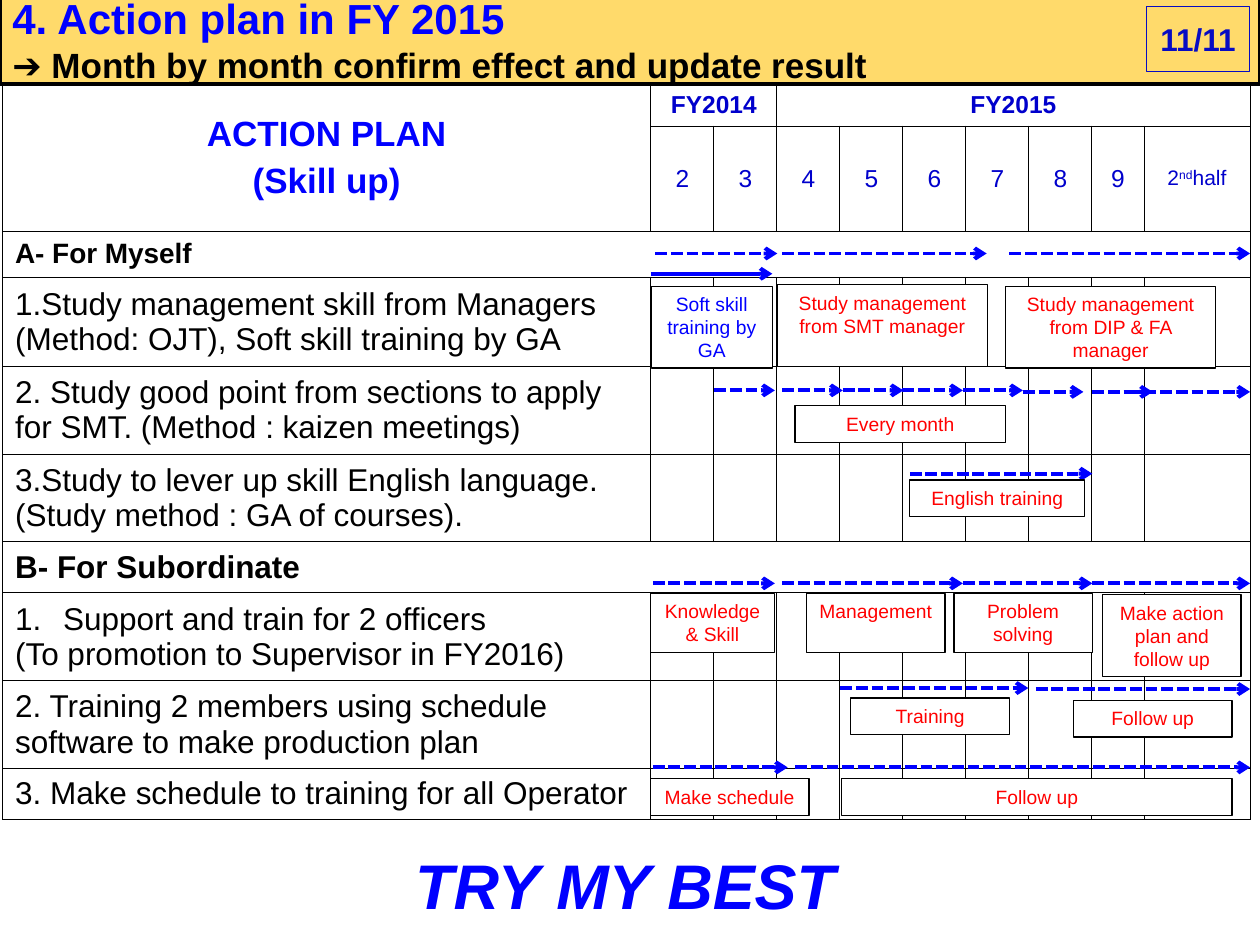
from collections import namedtuple
from dataclasses import dataclass

from lxml import etree
from pptx import Presentation
from pptx import util as u
from pptx.dml.color import RGBColor
from pptx.enum import dml, shapes, text
from pptx.oxml.ns import qn

Box = namedtuple("Box", "left top width height")


@dataclass(frozen=True)
class Theme:
    font: str = "Arial"
    blue: str = "0000FF"
    month_blue: str = "0000CC"
    page_blue: str = "070BC3"
    red: str = "FF0000"
    black: str = "000000"
    white: str = "FFFFFF"
    band: str = "FFC000"
    slogan: int = 36
    title: int = 24
    heading: int = 20
    body: int = 18
    group: int = 16
    month: int = 14
    half: int = 12
    note: int = 11


THEME = Theme()
CENTER = text.PP_ALIGN.CENTER
MIDDLE = text.MSO_ANCHOR.MIDDLE

COLUMNS = [13.07] + [1.27] * 7 + [1.05, 2.14]
ROWS = [0.84, 2.12, 0.93, 1.79, 1.77, 1.77, 1.03, 1.77, 1.77, 1.01]
TASKS = {
    3: "1.Study management skill from Managers (Method: OJT), Soft skill training by GA",
    4: "2. Study good point from sections to apply for SMT. (Method : kaizen meetings)",
    5: "3.Study to lever up skill English language. (Study method : GA of courses).",
    8: "2. Training 2 members using schedule software to make production plan",
    9: "3. Make schedule to training for all Operator",
}
PERIODS = [
    (3.41, [(0.09, 2.55), (2.65, 6.77), (7.23, 12.08)]),
    (6.17, [(1.28, 2.5), (2.65, 3.87), (3.87, 5.09), (5.07, 6.29), (6.29, 7.5)]),
    (6.2, [(7.5, 8.72), (8.9, 10.12), (9.64, 12.08)]),
    (7.85, [(5.22, 8.9)]),
    (10.06, [(0.04, 2.5), (2.65, 6.29), (6.29, 8.9), (8.9, 12.08)]),
    (12.17, [(3.82, 7.61)]),
    (12.19, [(7.76, 12.08)]),
    (13.77, [(0.04, 2.76), (2.91, 12.08)]),
]
ONE_LINE, TWO_LINES, THREE_LINES = 0.74, 1.19, 1.65
NOTES = [
    ("Study management from SMT manager", 2.55, 4.04, 4.24, THREE_LINES),
    ("Study management from DIP & FA manager", 7.15, 4.07, 4.24, THREE_LINES),
    ("Every month", 2.91, 6.48, 4.24, ONE_LINE),
    ("English training", 5.22, 7.98, 3.53, ONE_LINE),
    ("Knowledge & Skill", -0.01, 10.26, 2.51, TWO_LINES),
    ("Management", 3.14, 10.26, 2.79, TWO_LINES),
    ("Problem solving", 6.11, 10.26, 2.79, TWO_LINES),
    ("Make action plan and follow up", 9.11, 10.29, 2.79, THREE_LINES),
    ("Training", 4.03, 12.37, 3.2, ONE_LINE),
    ("Follow up", 8.52, 12.42, 3.2, ONE_LINE),
    ("Make schedule", -0.01, 14, 3.2, ONE_LINE),
    ("Follow up", 3.85, 14, 7.87, ONE_LINE),
]


def rgb(color):
    return RGBColor.from_string(color)


def cm(*lengths):
    return [u.Cm(length) for length in lengths]


def write(frame, lines, size=THEME.body, color=THEME.black, bold=False, italic=False,
          align=text.PP_ALIGN.LEFT, gap=0, hanging=0, numbered=False):
    for index, line in enumerate(lines):
        paragraph = frame.paragraphs[0] if index == 0 else frame.add_paragraph()
        paragraph.alignment = align
        if index and gap:
            paragraph.space_before = u.Pt(gap)
        if hanging:
            properties = paragraph._p.get_or_add_pPr()
            properties.set("marL", str(u.Cm(hanging)))
            properties.set("indent", str(-u.Cm(hanging)))
            if numbered and index == 0:
                etree.SubElement(properties, qn("a:buAutoNum"), type="arabicPeriod")
        for position, piece in enumerate(line.split("^")):
            run = paragraph.add_run()
            run.text = piece
            run.font.name = THEME.font
            run.font.size = u.Pt(size)
            run.font.bold = bold
            run.font.italic = italic
            run.font.color.rgb = rgb(color)
            if position % 2:
                run._r.get_or_add_rPr().set("baseline", "30000")


def add_panel(slide, box, fill=None, outline=THEME.black, weight=0.75):
    panel = slide.shapes.add_shape(shapes.MSO_SHAPE.RECTANGLE, *cm(*box))
    panel.shadow.inherit = False
    if fill:
        panel.fill.solid()
        panel.fill.fore_color.rgb = rgb(fill)
    else:
        panel.fill.background()
    panel.line.color.rgb = rgb(outline)
    panel.line.width = u.Pt(weight)
    panel.text_frame.word_wrap = True
    return panel


def add_arrow(slide, start, end, dashed=True):
    arrow = slide.shapes.add_connector(shapes.MSO_CONNECTOR.STRAIGHT, *cm(*start, *end))
    arrow.line.color.rgb = rgb(THEME.blue)
    arrow.line.width = u.Pt(2.25)
    if dashed:
        arrow.line.dash_style = dml.MSO_LINE.SQUARE_DOT
    etree.SubElement(arrow.line._get_or_add_ln(), qn("a:tailEnd"), type="arrow")
    etree.SubElement(arrow._element.spPr, qn("a:effectLst"))


def add_header(slide, box):
    band = add_panel(slide, box, fill=THEME.band, weight=2)
    color = band._element.spPr.find(qn("a:solidFill"))[0]
    etree.SubElement(color, qn("a:alpha"), val="58000")
    frame = band.text_frame
    frame.vertical_anchor = MIDDLE
    write(frame, ["4. Action plan in FY 2015"], size=THEME.title, color=THEME.blue, bold=True)
    subtitle = frame.add_paragraph()
    subtitle.alignment = text.PP_ALIGN.LEFT
    run = subtitle.add_run()
    run.text = "➔ Month by month confirm effect and update result"
    run.font.name, run.font.size, run.font.bold = THEME.font, u.Pt(THEME.heading), True
    run.font.color.rgb = rgb(THEME.black)


def add_page_number(slide, box):
    page = add_panel(slide, box, outline=THEME.page_blue)
    page.text_frame.word_wrap = False
    page.text_frame.vertical_anchor = MIDDLE
    write(page.text_frame, ["11/11"], color=THEME.page_blue, bold=True, align=CENTER)


def style_cell(cell):
    cell.fill.background()
    cell.vertical_anchor = MIDDLE
    properties = cell._tc.get_or_add_tcPr()
    for index, side in enumerate(("a:lnL", "a:lnR", "a:lnT", "a:lnB")):
        border = etree.Element(qn(side), w=str(u.Pt(0.45)))
        fill = etree.SubElement(border, qn("a:solidFill"))
        etree.SubElement(fill, qn("a:srgbClr"), val=THEME.black)
        properties.insert(index, border)


def add_plan_table(slide, box):
    plan = slide.shapes.add_table(len(ROWS), len(COLUMNS), *cm(*box)).table
    plan.first_row = plan.horz_banding = False
    for column, width in zip(plan.columns, COLUMNS):
        column.width = u.Cm(width)
    for row, height in zip(plan.rows, ROWS):
        row.height = u.Cm(height)
        for cell in row.cells:
            style_cell(cell)
    for first, last in [((0, 0), (1, 0)), ((0, 1), (0, 2)), ((0, 3), (0, 9)),
                        ((2, 0), (2, 9)), ((6, 0), (6, 9))]:
        plan.cell(*first).merge(plan.cell(*last))

    def fill_cell(row, column, *lines, **style):
        write(plan.cell(row, column).text_frame, lines, **style)

    fill_cell(0, 0, "ACTION PLAN", "(Skill up)", size=THEME.heading, color=THEME.blue,
              bold=True, align=CENTER, gap=5)
    month = dict(size=THEME.month, color=THEME.month_blue, align=CENTER)
    fill_cell(0, 1, "FY2014", bold=True, **month)
    fill_cell(0, 3, "FY2015", bold=True, **month)
    for column in range(1, 9):
        fill_cell(1, column, str(column + 1), **month)
    fill_cell(1, 9, "2^nd^half", **{**month, "size": THEME.half})
    fill_cell(2, 0, "A- For Myself", size=THEME.group, bold=True)
    fill_cell(6, 0, "B- For Subordinate", bold=True)
    fill_cell(7, 0, "Support and train for 2 officers", "(To promotion to Supervisor in FY2016)",
              hanging=0.97, numbered=True)
    for row, task in TASKS.items():
        fill_cell(row, 0, task)


def add_timeline(slide, box):
    def add_note(label, x, y, width, height, color=THEME.red):
        note = add_panel(slide, Box(box.left + x, box.top + y, width, height), fill=THEME.white)
        note.text_frame.vertical_anchor = text.MSO_ANCHOR.TOP
        write(note.text_frame, [label], size=THEME.note, color=color, align=CENTER)

    for y, spans in PERIODS:
        for start, end in spans:
            add_arrow(slide, (box.left + start, box.top + y), (box.left + end, box.top + y))
    for note in NOTES:
        add_note(*note)
    add_note("Soft skill training by GA", 0.01, 4.07, 2.44, THREE_LINES, color=THEME.blue)
    add_arrow(slide, (box.left, box.top + 3.82), (box.left + 2.45, box.top + 3.82), dashed=False)


def add_slogan(slide, box):
    slogan = slide.shapes.add_textbox(*cm(*box))
    slogan.text_frame.word_wrap = True
    write(slogan.text_frame, ["TRY MY BEST"], size=THEME.slogan, color=THEME.blue,
          bold=True, italic=True, align=CENTER)


def main():
    deck = Presentation()
    deck.slide_width, deck.slide_height = cm(25.4, 19.05)
    slide = deck.slides.add_slide(deck.slide_layouts[6])
    add_header(slide, Box(0, -0.13, 25.4, 1.83))
    add_plan_table(slide, Box(0.05, 1.7, sum(COLUMNS), sum(ROWS)))
    add_timeline(slide, Box(13.12, 1.7, sum(COLUMNS[1:]), sum(ROWS)))
    add_slogan(slide, Box(0.64, 16.94, 23.93, 1.78))
    add_page_number(slide, Box(23.11, 0.13, 2.08, 1.32))
    deck.save("out.pptx")


if __name__ == "__main__":
    main()
